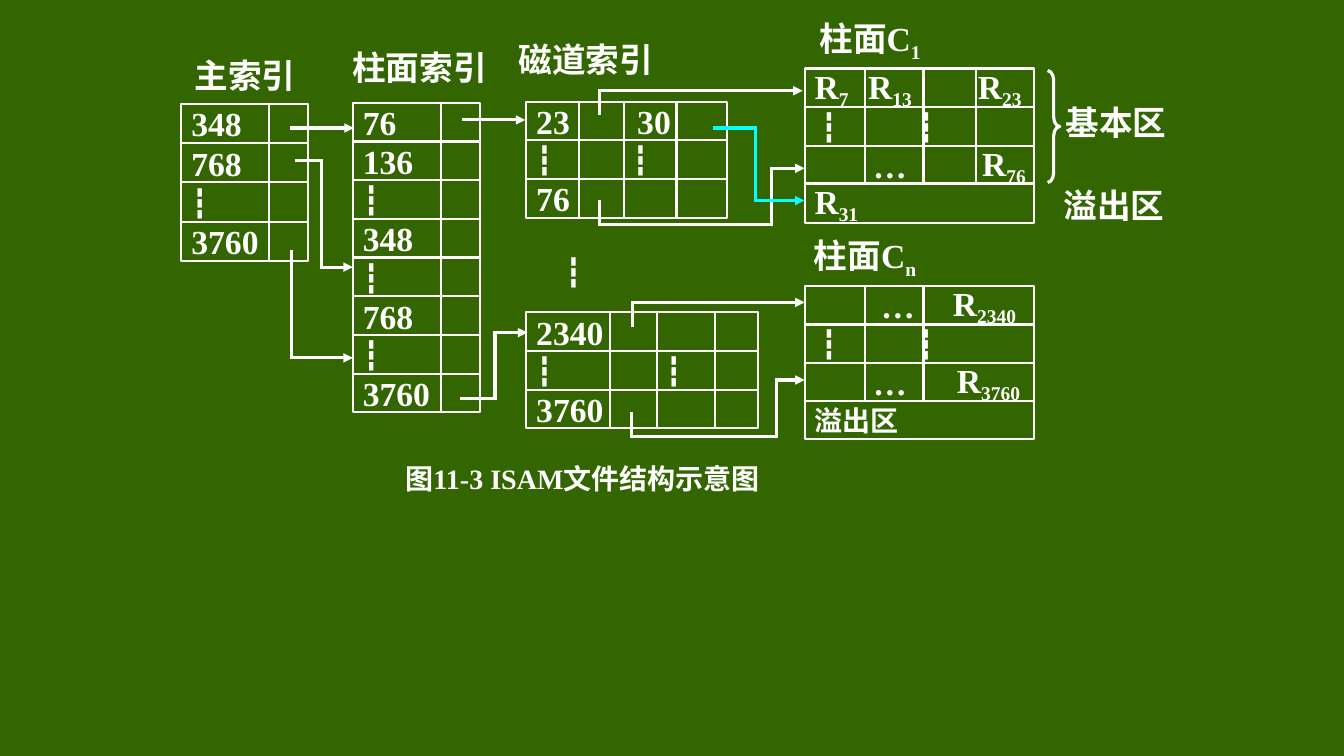
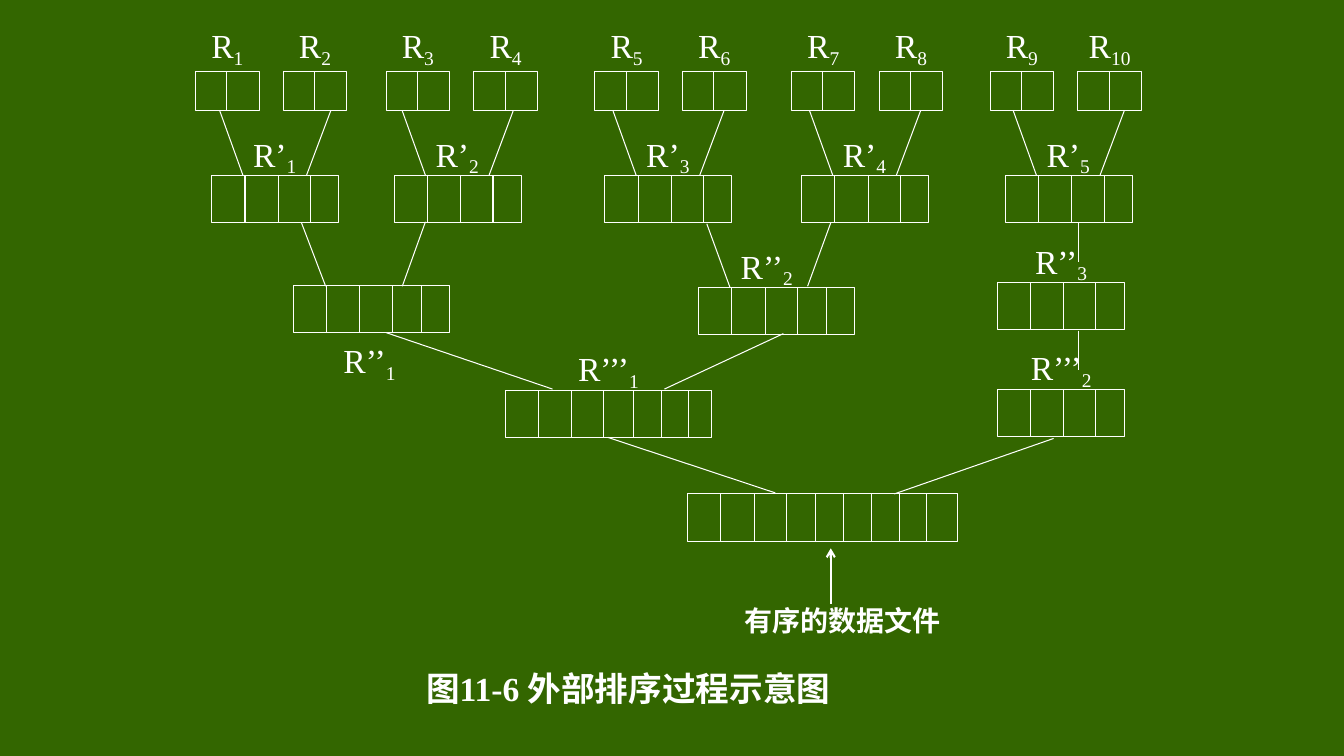
"""Build two diagram slides: an ISAM file structure and an external merge sort."""
from dataclasses import dataclass
from itertools import pairwise

from pptx import Presentation
from pptx.dml.color import RGBColor
from pptx.enum.shapes import MSO_CONNECTOR, MSO_SHAPE
from pptx.enum.text import MSO_ANCHOR, MSO_AUTO_SIZE, PP_ALIGN
from pptx.oxml.ns import qn
from pptx.util import Inches, Pt
from lxml.etree import SubElement


@dataclass(frozen=True)
class Theme:
    board: RGBColor = RGBColor(0x33, 0x66, 0x00)
    chalk: RGBColor = RGBColor(0xFF, 0xFF, 0xFF)
    overflow: RGBColor = RGBColor(0x00, 0xFF, 0xFF)
    font: str = "Times New Roman"
    large: int = 24
    small: int = 20
    thin: float = 0.75
    medium: float = 1.5
    thick: float = 2.25
    inset: float = 0.1


THEME = Theme()
DOTS = "┇"

ISAM_CAPTION = ("图11-3 ISAM文件结构示意图", (3.58, 4.55, 4.4, 0.39), THEME.small)
ISAM_LABELS = [
    ("主索引", (1.88, 0.53, 1.1, 0.42)),
    ("柱面索引", (3.49, 0.45, 1.34, 0.42)),
    ("磁道索引", (5.14, 0.38, 1.34, 0.42)),
    ("柱面C_1", (8.06, 0.21, 1.14, 0.39)),
    ("柱面C_n", (7.99, 2.36, 1.18, 0.39)),
    ("基本区", (10.56, 1.02, 1.02, 0.39)),
    ("溢出区", (10.54, 1.84, 1.02, 0.39)),
    (DOTS, (5.23, 2.41, 0.92, 0.57)),
]
BRACE = (10.39, 0.7, 0.12, 1.11)

INDEX_EDGES = (0, 0.87, 1.26)
CYLINDER_EDGES = (0, 0.6, 1.18, 1.7, 2.28)
LAST_CYLINDER_EDGES = (0, 0.6, 1.18, 2.28)
ISAM_GRIDS = [
    (1.8, 1.03, 1.56, INDEX_EDGES,
     [["348", ""], ["768", ""], [DOTS, ""], ["3760", ""]]),
    (3.5, 1.02, 3.07, INDEX_EDGES,
     [[entry, ""] for entry in ("76", "136", DOTS, "348", DOTS, "768", DOTS, "3760")]),
    (5.22, 1.01, 1.15, (0, 0.52, 0.97, 1.49, 1.99),
     [["23", "", ("30", 0.13), ""], [DOTS, "", (DOTS, 0.08), ""], ["76", "", "", ""]]),
    (5.22, 3.1, 1.15, (0, 0.83, 1.3, 1.87, 2.3),
     [["2340", "", "", ""], [DOTS, "", (DOTS, 0.08), ""], ["3760", "", "", ""]]),
    (7.98, 0.68, 1.15, CYLINDER_EDGES,
     [["R_7", ("R_13", 0.03), "", ("R_23", 0.02)],
      [(DOTS, 0.16), "", (DOTS, -0.06), ""],
      ["", ("…", 0.08), "", ("R_76", 0.06)]]),
    (7.98, 1.82, 0.39, (0, 2.28), [["R_31"]]),
    (7.98, 2.84, 1.14, LAST_CYLINDER_EDGES,
     [["", ("…", 0.16), ("R_2340", 0.29)],
      [(DOTS, 0.16), "", (DOTS, -0.06)],
      ["", ("…", 0.08), ("R_3760", 0.33)]]),
    (7.98, 3.98, 0.38, (0, 2.28), [["溢出区"]]),
]
POINTERS = [
    [(2.88, 1.27), (3.51, 1.27)],
    [(2.94, 1.59), (3.19, 1.59), (3.19, 2.65), (3.5, 2.65)],
    [(2.89, 2.5), (2.89, 3.55), (3.5, 3.55)],
    [(4.58, 1.19), (5.21, 1.19)],
    [(4.58, 3.95), (4.91, 3.95), (4.91, 3.3), (5.23, 3.3)],
    [(5.95, 1.13), (5.95, 0.9), (7.96, 0.9)],
    [(5.95, 2), (5.95, 2.23), (7.65, 2.23), (7.65, 1.67), (7.98, 1.67)],
    [(6.27, 3.23), (6.27, 3), (7.98, 3)],
    [(6.26, 4.1), (6.26, 4.33), (7.7, 4.33), (7.7, 3.77), (7.98, 3.77)],
]
OVERFLOW_POINTER = [(7.09, 1.27), (7.49, 1.27), (7.49, 1.99), (7.98, 1.99)]

SORT_CAPTION = ("图11-6 外部排序过程示意图", (3.88, 6.59, 4.7, 0.47), THEME.large)
SORTED_FILE = ("有序的数据文件", (7.3, 5.96, 2.12, 0.39))
SORTED_ARROW = [(8.24, 5.99), (8.24, 5.44)]
RUN_PAIRS = [(1.94, 2.1), (3.83, 3.91), (5.9, 6), (7.85, 7.95), (9.82, 9.97)]
RUN_STEP = 0.87
DIVIDERS = (0.33, 0.66, 0.98, 1.27, 1.55, 1.82, 2.1, 2.37)
WIDTHS = {4: 1.26, 5: 1.55, 7: 2.05, 9: 2.68}
LATER_RUNS = [
    (2.91, 2.83, 5), (6.93, 2.85, 5), (9.89, 2.8, 4),
    (5.01, 3.87, 7), (9.89, 3.86, 4), (6.82, 4.9, 9),
]
LATER_LABELS = [
    ("R’’_1", 3.35, 3.4), ("R’’_2", 7.29, 2.46), ("R’’_3", 10.21, 2.41),
    ("R’’’_1", 5.72, 3.48), ("R’’’_2", 10.21, 3.47),
]
MERGES = [
    [(2.99, 2.21), (3.23, 2.84)], [(4.22, 2.2), (3.99, 2.84)],
    [(7.01, 2.22), (7.24, 2.85)], [(8.24, 2.21), (8.01, 2.84)],
    [(10.7, 2.21), (10.7, 2.6)], [(10.7, 3.28), (10.7, 3.67)],
    [(3.83, 3.3), (5.48, 3.86)], [(7.77, 3.31), (6.59, 3.86)],
    [(6.03, 4.34), (7.69, 4.89)], [(10.45, 4.35), (8.87, 4.9)],
]


def write(shape, text, *, size=THEME.large, bold=True, align=PP_ALIGN.CENTER,
          inset=0, wrap=False, drop=-22):
    """Fill a shape with text; what follows an underscore is a subscript."""
    frame = shape.text_frame
    frame.auto_size = MSO_AUTO_SIZE.NONE
    frame.word_wrap = wrap
    frame.vertical_anchor = MSO_ANCHOR.MIDDLE
    frame.margin_left = Inches(inset)
    frame.margin_right = frame.margin_top = frame.margin_bottom = 0
    paragraph = frame.paragraphs[0]
    paragraph.alignment = align
    for position, part in enumerate(text.split("_")):
        run = paragraph.add_run()
        run.text = part
        run.font.name = THEME.font
        run.font.size = Pt(size)
        run.font.bold = bold
        run.font.color.rgb = THEME.chalk
        if position:
            run.font._element.set("baseline", str(drop * 1000))


def add_label(slide, text, place, **style):
    """Add a free-standing label."""
    write(slide.shapes.add_textbox(*map(Inches, place)), text, **style)


def add_outline(slide, preset, place, weight):
    """Add an unfilled preset shape with a chalk outline."""
    outline = slide.shapes.add_shape(preset, *map(Inches, place))
    outline.shadow.inherit = False
    outline.fill.background()
    outline.line.color.rgb = THEME.chalk
    outline.line.width = Pt(weight)
    return outline


def add_route(slide, points, weight, color=THEME.chalk, head=None):
    """Join points with straight connectors and put any arrowhead at the end."""
    for start, end in pairwise(points):
        segment = slide.shapes.add_connector(
            MSO_CONNECTOR.STRAIGHT, *map(Inches, start + end))
        segment.line.color.rgb = color
        segment.line.width = Pt(weight)
        properties = segment._element.spPr
        outline = properties.find(qn("a:ln"))
        if len(points) > 2:
            outline.set("cap", "sq")
        if head and end == points[-1]:
            SubElement(outline, qn("a:tailEnd"), type=head)
        SubElement(properties, qn("a:effectLst"))


def add_grid(slide, left, top, height, edges, rows, weight):
    """Draw outlined rows, divide each at the inner edges and write its entries."""
    row_height = height / len(rows)
    for row_number, row in enumerate(rows):
        row_top = top + row_number * row_height
        place = (left, row_top, edges[-1], row_height)
        outline = add_outline(slide, MSO_SHAPE.RECTANGLE, place, weight)
        for edge in edges[1:-1]:
            x = left + edge
            add_route(slide, [(x, row_top), (x, row_top + row_height)], weight)
        for column, entry in enumerate(row):
            text, inset = entry if isinstance(entry, tuple) else (entry, THEME.inset)
            if not text:
                continue
            style = {"size": THEME.small if text in (DOTS, "溢出区") else THEME.large,
                     "align": PP_ALIGN.LEFT, "wrap": True}
            if column == 0:
                write(outline, text, inset=inset, **style)
            else:
                start = edges[column] + inset
                width = edges[column + 1] - start
                add_label(slide, text, (left + start, row_top, width, row_height), **style)


def add_slide(deck, caption):
    """Add a title-only slide whose title is the figure caption."""
    text, place, size = caption
    slide = deck.slides.add_slide(deck.slide_layouts[5])
    title = slide.shapes.title
    title.left, title.top, title.width, title.height = map(Inches, place)
    write(title, text, size=size)
    return slide


def build_isam(deck):
    """Draw the index levels, the cylinders and the pointers between them."""
    slide = add_slide(deck, ISAM_CAPTION)
    for text, place in ISAM_LABELS:
        add_label(slide, text, place, size=THEME.small if text == DOTS else THEME.large)
    for grid in ISAM_GRIDS:
        add_grid(slide, *grid, THEME.medium)
    brace = add_outline(slide, MSO_SHAPE.RIGHT_BRACE, BRACE, THEME.thick)
    brace.adjustments[0] = 0.8
    for pointer in POINTERS:
        add_route(slide, pointer, THEME.thick, head="triangle")
    add_route(slide, OVERFLOW_POINTER, THEME.thick, THEME.overflow, "triangle")


def add_run_box(slide, left, top, count):
    """Draw a merged run of the given number of blocks."""
    edges = (0, *DIVIDERS[:count - 1], WIDTHS[count])
    add_grid(slide, left, top, 0.47, edges, [[""] * count], THEME.thin)


def build_sort(deck):
    """Draw the initial runs and every merge pass down to the sorted file."""
    slide = add_slide(deck, SORT_CAPTION)
    plain = {"bold": False, "drop": -20}
    for pair, (first, merged) in enumerate(RUN_PAIRS):
        for side in range(2):
            left = first + side * RUN_STEP
            add_grid(slide, left, 0.71, 0.39, (0, 0.31, 0.63), [["", ""]], THEME.thin)
            add_label(slide, f"R_{2 * pair + side + 1}", (left + 0.08, 0.29, 0.47, 0.35), **plain)
        add_run_box(slide, merged, 1.74, 4)
        add_label(slide, f"R’_{pair + 1}", (merged + 0.31, 1.35, 0.63, 0.39), **plain)
        for upper, lower in ((0.08, 0.31), (1.18, 0.94)):
            add_route(slide, [(merged + upper, 1.1), (merged + lower, 1.74)], THEME.thin)
    for later_run in LATER_RUNS:
        add_run_box(slide, *later_run)
    for text, left, top in LATER_LABELS:
        add_label(slide, text, (left, top, 0.63, 0.39), **plain)
    for merge in MERGES:
        add_route(slide, merge, THEME.thin)
    add_route(slide, SORTED_ARROW, THEME.medium, head="arrow")
    add_label(slide, *SORTED_FILE, size=THEME.small)


def main():
    """Build and save the deck."""
    deck = Presentation()
    deck.slide_width, deck.slide_height = Inches(13.33), Inches(7.5)
    board = deck.slide_master.background.fill
    board.solid()
    board.fore_color.rgb = THEME.board
    build_isam(deck)
    build_sort(deck)
    deck.save("out.pptx")


if __name__ == "__main__":
    main()
